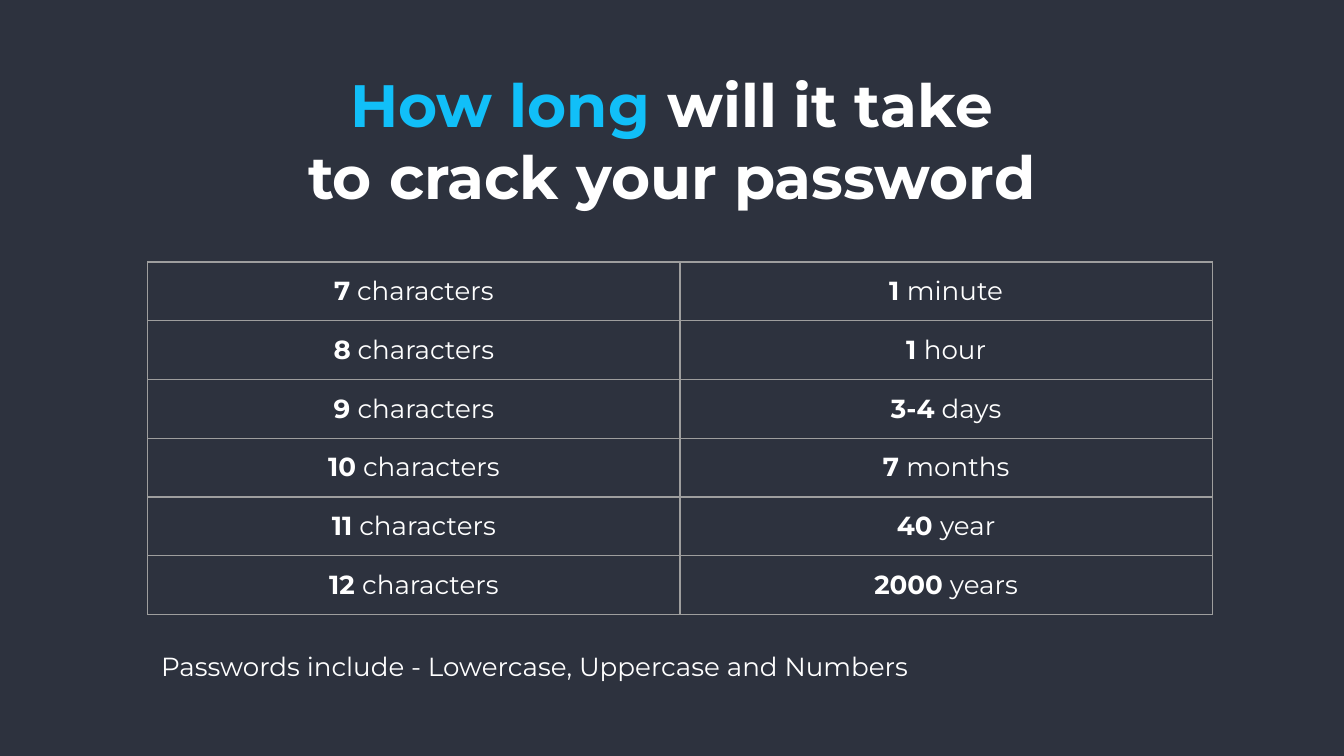
from lxml import etree
from pptx import Presentation
from pptx.dml.color import RGBColor
from pptx.enum.shapes import MSO_SHAPE
from pptx.enum.text import MSO_AUTO_SIZE, PP_ALIGN
from pptx.oxml.ns import qn
from pptx.util import Inches, Pt

RECT = MSO_SHAPE.RECTANGLE
LEFT, CENTER = PP_ALIGN.LEFT, PP_ALIGN.CENTER
GROW = MSO_AUTO_SIZE.SHAPE_TO_FIT_TEXT
COLORS = {"back": "2D323E", "text": "FFFFFF", "key": "11BFF8", "rule": "9E9E9E"}
FONT = "Montserrat"
PAD = Inches(0.1)
TIMES = [
    ("7", " characters", "1 ", "minute"),
    ("8", " characters", "1 ", "hour"),
    ("9 ", "characters", "3-4", " days"),
    ("10", " characters", "7 ", "months"),
    ("11", " characters", "40 ", "year"),
    ("12 ", "characters", "2000", " years"),
]


def write(para, text, size=14, color="text", bold=False, align=LEFT):
    para.alignment = align
    run = para.add_run()
    run.text = text
    font = run.font
    font.name, font.size, font.bold = FONT, Pt(size), bold
    font.color.rgb = RGBColor.from_string(COLORS[color])


class Deck:
    """Holds the style and current slide, placing items on a 100 by 100 grid."""

    def __init__(self, width, ratio):
        self.file = Presentation()
        self.file.slide_width = Inches(width)
        self.file.slide_height = Inches(width * ratio)
        self.col = self.file.slide_width / 100
        self.row = self.file.slide_height / 100
        self.slide = self.file.slides.add_slide(self.file.slide_layouts[6])

    def place(self, left, top, width, height):
        units = (self.col, self.row, self.col, self.row)
        return [round(n * unit) for n, unit in zip((left, top, width, height), units)]

    def panel(self, *area, color):
        shape = self.slide.shapes.add_shape(RECT, *self.place(*area))
        shape.shadow.inherit = False
        shape.fill.solid()
        shape.fill.fore_color.rgb = RGBColor.from_string(COLORS[color])
        shape.line.fill.background()

    def label(self, *area, lines, **style):
        frame = self.slide.shapes.add_textbox(*self.place(*area)).text_frame
        frame.word_wrap, frame.auto_size = True, GROW
        frame.margin_left = frame.margin_right = PAD
        frame.margin_top = frame.margin_bottom = PAD
        for i, line in enumerate(lines):
            para = frame.add_paragraph() if i else frame.paragraphs[0]
            for text, color in line:
                write(para, text, color=color, **style)

    def table(self, *area, rows):
        frame = self.slide.shapes.add_table(len(rows), 2, *self.place(*area))
        grid = frame.table
        grid.first_row = grid.horz_banding = False
        for r, row in enumerate(rows):
            for c in range(2):
                self.cell(grid.cell(r, c), *row[2 * c:2 * c + 2])

    def cell(self, cell, count, unit):
        cell.margin_left = cell.margin_right = PAD
        cell.margin_top = cell.margin_bottom = PAD
        para = cell.text_frame.paragraphs[0]
        write(para, count, bold=True, align=CENTER)
        write(para, unit, align=CENTER)
        props = cell._tc.get_or_add_tcPr()
        for side in "LRTB":
            line = etree.SubElement(props, qn("a:ln" + side), w=str(Pt(0.75)))
            fill = etree.SubElement(line, qn("a:solidFill"))
            etree.SubElement(fill, qn("a:srgbClr"), val=COLORS["rule"])
        cell.fill.background()


def main():
    deck = Deck(10, 9 / 16)
    deck.panel(0, 0, 100, 100, color="back")
    deck.table(11, 34.67, 79.2, 44.8, rows=TIMES)
    note = "Passwords include - Lowercase, Uppercase and Numbers"
    deck.label(11, 84.27, 62.7, 7.82, lines=[[(note, "text")]])
    title = [
        [("How long", "key"), (" will it take", "text")],
        [("to crack your password", "text")],
    ]
    deck.label(0, 7.25, 100, 22.76, lines=title, size=32, bold=True, align=CENTER)
    deck.file.save("out.pptx")


if __name__ == "__main__":
    main()
